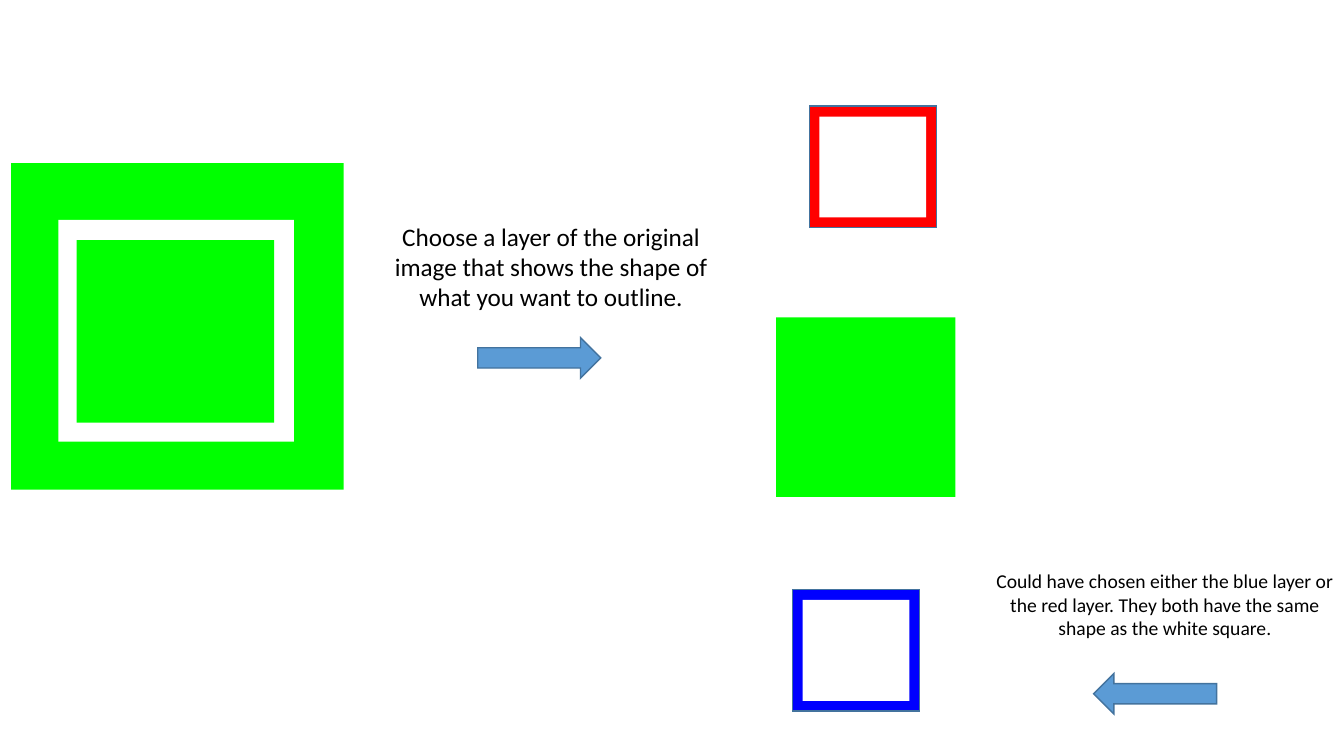
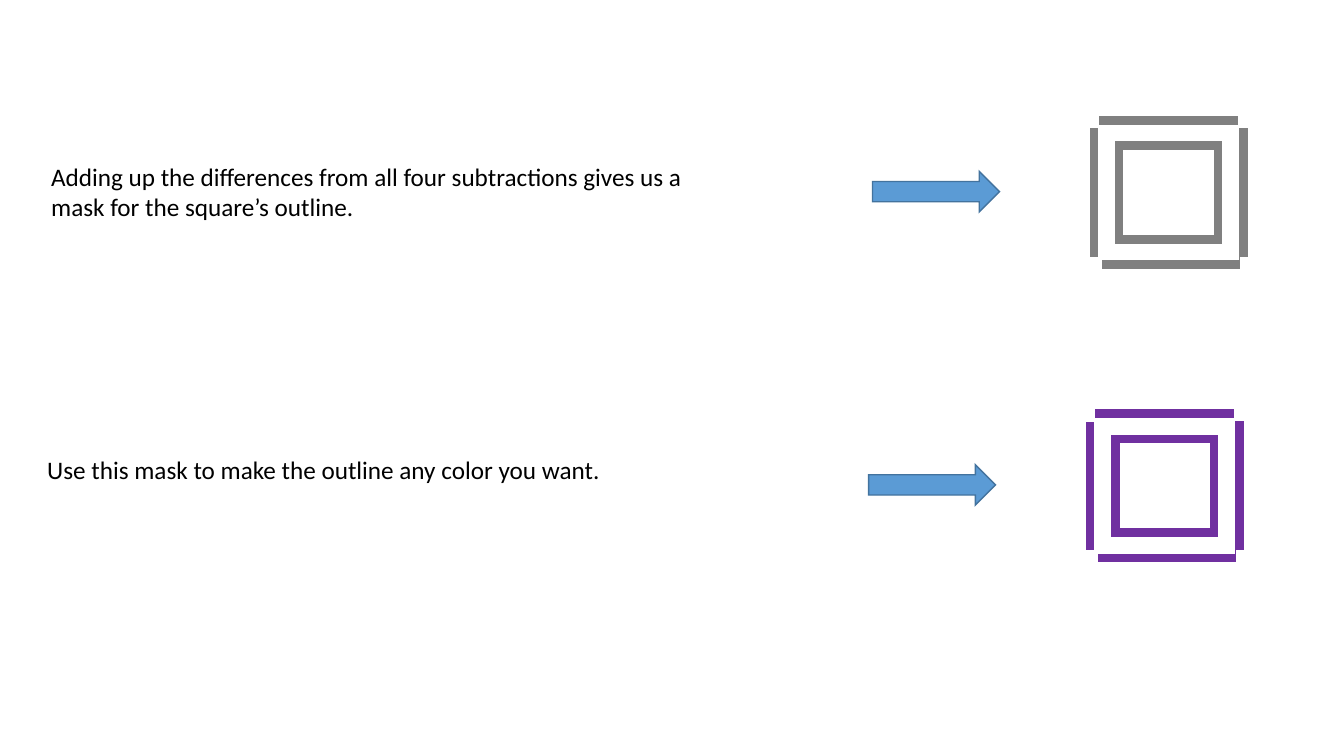
from dataclasses import dataclass

from lxml import etree
from pptx import Presentation
from pptx.dml.color import RGBColor
from pptx.enum.shapes import MSO_SHAPE
from pptx.enum.text import MSO_AUTO_SIZE, PP_ALIGN
from pptx.oxml.ns import qn
from pptx.shapes.autoshape import Shape
from pptx.slide import Slide
from pptx.util import Cm, Pt

RECTANGLE = MSO_SHAPE.RECTANGLE
RIGHT_ARROW = MSO_SHAPE.RIGHT_ARROW
LEFT, CENTER = PP_ALIGN.LEFT, PP_ALIGN.CENTER
FIT_TEXT = MSO_AUTO_SIZE.SHAPE_TO_FIT_TEXT

# Shared style
FONT = "Calibri"
BLACK, WHITE, GRAY = "000000", "FFFFFF", "808080"
RED, GREEN, BLUE, PURPLE = "FF0000", "00FF00", "0000FF", "7030A0"
ARROW_FILL, EDGE = "5B9BD5", "43739E"
ARROW_HEIGHT = 1.02


# All lengths below are centimetres
@dataclass(frozen=True)
class Box:
    left: float
    top: float
    width: float
    height: float

    def inside(self, left: float, top: float) -> "Box":
        """The same box, measured from another corner."""
        return Box(self.left + left, self.top + top, self.width, self.height)

    def lengths(self) -> tuple[Cm, Cm, Cm, Cm]:
        return Cm(self.left), Cm(self.top), Cm(self.width), Cm(self.height)


@dataclass(frozen=True)
class Layer:
    left: float
    top: float
    panel: str
    ring: str
    hole: str
    edge: str | None


@dataclass(frozen=True)
class Step:
    text: str
    left: float
    top: float
    text_height: float
    color: str


def rgb(color: str) -> RGBColor:
    return RGBColor.from_string(color)


def add_shape(slide: Slide, box: Box, fill: str | None, line: str | None = None,
              line_width: float = 1, kind: MSO_SHAPE = RECTANGLE) -> Shape:
    shape = slide.shapes.add_shape(kind, *box.lengths())
    shape.shadow.inherit = False
    if fill:
        shape.fill.solid()
        shape.fill.fore_color.rgb = rgb(fill)
    else:
        shape.fill.background()
    if line:
        shape.line.color.rgb = rgb(line)
        shape.line.width = Pt(line_width)
        # Square line corners
        etree.SubElement(shape.line._ln, qn("a:miter"), lim="800000")
    else:
        shape.line.fill.background()
    return shape


def add_arrow(slide: Slide, left: float, top: float, width: float,
              rotation: float = 0) -> None:
    box = Box(left, top, width, ARROW_HEIGHT)
    arrow = add_shape(slide, box, ARROW_FILL, EDGE, kind=RIGHT_ARROW)
    arrow.rotation = rotation


def add_text(slide: Slide, box: Box, text: str, size: float,
             alignment: PP_ALIGN) -> None:
    frame = slide.shapes.add_textbox(*box.lengths()).text_frame
    frame.word_wrap = True
    frame.auto_size = FIT_TEXT
    paragraph = frame.paragraphs[0]
    paragraph.alignment = alignment
    run = paragraph.add_run()
    run.text = text
    run.font.name = FONT
    run.font.size = Pt(size)
    run.font.color.rgb = rgb(BLACK)


PANEL = Box(0, 0, 4.52, 4.52)
RING = Box(0.64, 0.77, 3.2, 3.07)
HOLE = Box(0.89, 1.04, 2.69, 2.54)


def add_layer(slide: Slide, layer: Layer) -> None:
    add_shape(slide, PANEL.inside(layer.left, layer.top), layer.panel)
    add_shape(slide, RING.inside(layer.left, layer.top), layer.ring, layer.edge)
    add_shape(slide, HOLE.inside(layer.left, layer.top), layer.hole)


OUTLINE = Box(0, 0, 3.13, 3)
CORNERS = [
    Box(left, top, 0.58, 0.46)
    for left, top in ((-0.78, -0.59), (-0.71, 3.15), (3.33, -0.61), (3.38, 3.15))
]


def add_outline(slide: Slide, left: float, top: float, color: str) -> None:
    """A wide line split by a white one, with its outer corners masked."""
    for line, line_width in ((color, 24), (WHITE, 12)):
        add_shape(slide, OUTLINE.inside(left, top), None, line, line_width)
    for corner in CORNERS:
        add_shape(slide, corner.inside(left, top), WHITE, WHITE)


def add_step(slide: Slide, step: Step) -> None:
    text_box = Box(step.left, step.top, 16.94, step.text_height)
    add_text(slide, text_box, step.text, 18, LEFT)
    add_arrow(slide, step.left + 20.95, step.top + 0.38, 3.2)
    add_outline(slide, step.left + 26.85, step.top - 0.59, step.color)


presentation = Presentation()
presentation.slide_width = Cm(33.87)
presentation.slide_height = Cm(19.05)
blank_layout = presentation.slide_layouts[6]

# Slide 1: choosing a layer
layer_slide = presentation.slides.add_slide(blank_layout)
add_text(layer_slide, Box(9.19, 5.44, 9.4, 2.57),
         "Choose a layer of the original image that shows the shape of "
         "what you want to outline.", 18, CENTER)
add_arrow(layer_slide, 12.04, 8.51, 3.1)

# Full image: nested squares
for square, color in (
    (Box(0.28, 4.11, 8.38, 8.23), GREEN),
    (Box(1.47, 5.54, 5.94, 5.59), WHITE),
    (Box(1.93, 6.05, 4.98, 4.6), GREEN),
):
    add_shape(layer_slide, square, color)

# Its color layers
for color_layer in (
    Layer(19.76, 1.9, WHITE, RED, WHITE, EDGE),
    Layer(19.56, 8, GREEN, GREEN, GREEN, None),
    Layer(19.34, 14.08, WHITE, BLUE, WHITE, EDGE),
):
    add_layer(layer_slide, color_layer)

add_arrow(layer_slide, 27.56, 16.97, 3.1, rotation=180)
add_text(layer_slide, Box(24.66, 14.22, 9.4, 2.06),
         "Could have chosen either the blue layer or the red layer. "
         "They both have the same shape as the white square.", 14, CENTER)

# Slide 2: using the mask
mask_slide = presentation.slides.add_slide(blank_layout)
for mask_step in (
    Step("Adding up the differences from all four subtractions gives us a "
         "mask for the square’s outline.", 1.04, 3.94, 1.8, GRAY),
    Step("Use this mask to make the outline any color you want.",
         0.94, 11.33, 1.02, PURPLE),
):
    add_step(mask_slide, mask_step)

presentation.save("out.pptx")
